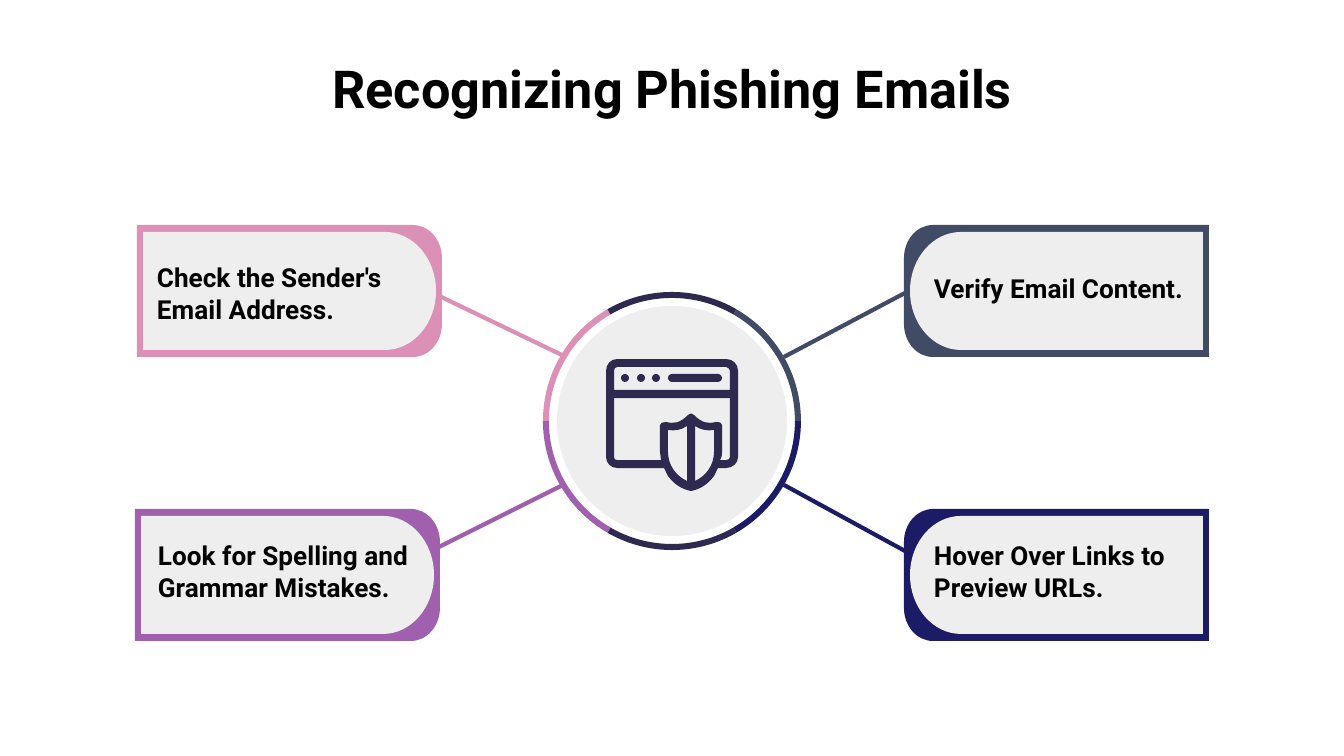
from math import cos, radians, sin, tan

from lxml import etree
from pptx import Presentation
from pptx.dml.color import RGBColor
from pptx.enum.shapes import MSO_CONNECTOR, MSO_SHAPE
from pptx.enum.text import MSO_ANCHOR, PP_ALIGN
from pptx.oxml.ns import qn
from pptx.util import Emu, Pt

STRAIGHT = MSO_CONNECTOR.STRAIGHT
OVAL = MSO_SHAPE.OVAL
PILL = MSO_SHAPE.ROUNDED_RECTANGLE
TOP, MIDDLE = MSO_ANCHOR.TOP, MSO_ANCHOR.MIDDLE
LEFT, CENTER = PP_ALIGN.LEFT, PP_ALIGN.CENTER

FONT = "Roboto"
INK, GREY, BLACK = "2E294E", "EEEEEE", "000000"
PINK, SLATE, PURPLE, NAVY = "DD90B6", "424B66", "A060AD", "1C1C66"

TITLE = "Recognizing Phishing Emails"
CARDS = [
    {"text": "Hover Over Links to Preview URLs.", "color": NAVY, "left": 904, "top": 509,
     "label": (934, 539), "link": (905, 551, 784, 485), "faces_left": True},
    {"text": "Verify Email Content.", "color": SLATE, "left": 904, "top": 225,
     "label": (934, 256), "link": (905, 293, 784, 357), "faces_left": True},
    {"text": "Look for Spelling and Grammar Mistakes.", "color": PURPLE, "left": 135, "top": 509,
     "label": (158, 539), "link": (431, 551, 563, 485), "faces_left": False},
    {"text": "Check the Sender's Email Address.", "color": PINK, "left": 137, "top": 225,
     "label": (157, 261), "link": (433, 293, 566, 357), "faces_left": False},
]
CARD_W, CARD_H = 305, 132
INSET_X, INSET_Y = 6, 7
LABEL_W, LABEL_H = 271, 64

HUB_X, HUB_Y, HUB_R = 672, 421, 115
RING_OUTER, RING_INNER = 129, 123
RING = [
    (NAVY, [0, 60]), (INK, [60, 90, 120]), (PURPLE, [120, 180]),
    (PINK, [180, 240]), (INK, [240, 270, 300]), (SLATE, [300, 360]),
]

WINDOW_EDGE = [
    (617, 359), (611, 359, 606, 364, 606, 371), (606, 457), (606, 463, 611, 468, 617, 468),
    (664, 468), (668, 476), (674, 484, 681, 489, 691, 491), (701, 489, 708, 484, 714, 476),
    (718, 468), (726, 468), (733, 468, 738, 463, 738, 457), (738, 371),
    (738, 364, 733, 359, 726, 359),
]
WINDOW_HEADER = [
    (726, 367), (728, 367, 730, 369, 730, 371), (730, 390), (614, 390), (614, 371),
    (614, 369, 615, 367, 617, 367),
]
WINDOW_BODY = [
    (730, 398), (730, 457), (730, 459, 728, 460, 726, 460), (720, 460),
    (722, 457, 722, 454, 722, 452), (722, 425), (722, 423, 720, 422, 716, 422),
    (708, 424, 702, 423, 694, 415), (692, 413, 690, 413, 688, 415),
    (680, 423, 674, 424, 666, 422), (663, 422, 660, 423, 660, 425), (660, 452),
    (660, 454, 661, 457, 661, 460), (617, 460), (615, 460, 614, 459, 614, 457), (614, 398),
]
SHIELD_HALF = [
    (687, 426), (687, 481), (676, 476, 668, 465, 668, 452), (668, 430),
    (675, 431, 681, 430, 687, 426),
]
SHIELD_AXIS = 691
DOT_LEFTS = [621, 637, 652]
BAR_TOP, BAR_H, ADDRESS_LEFT, ADDRESS_W = 374, 8, 668, 54

PX = 914400 / 134.4


def px(length):
    return Emu(round(length * PX))


def rgb(color):
    return RGBColor.from_string(color)


def paint(shape, color):
    shape.shadow.inherit = False
    shape.fill.solid()
    shape.fill.fore_color.rgb = rgb(color)
    shape.line.fill.background()


def add_preset(kind, left, top, width, height, color):
    shape = slide.shapes.add_shape(kind, px(left), px(top), px(width), px(height))
    paint(shape, color)
    return shape


def add_outline(contours, color):
    scaled = [[tuple(map(px, segment)) for segment in contour] for contour in contours]
    builder = slide.shapes.build_freeform(*scaled[0][0], scale=1.0)
    for index, contour in enumerate(scaled):
        if index:
            builder.move_to(*contour[0])
        builder.add_line_segments([segment[-2:] for segment in contour[1:]], close=True)
    shape = builder.convert_to_shape()
    segments = [segment for contour in scaled for segment in contour[1:]]
    for node, segment in zip(list(shape._element.iter(qn("a:lnTo"))), segments):
        if len(segment) == 6:
            node.tag = qn("a:cubicBezTo")
            for place in (0, 1):
                x, y = segment[2 * place:2 * place + 2]
                node.insert(place, etree.Element(
                    qn("a:pt"), x=str(x - shape.left), y=str(y - shape.top)))
    paint(shape, color)


def add_text(text, left, top, width, height, size, align, anchor, margin_x):
    frame = slide.shapes.add_textbox(px(left), px(top), px(width), px(height)).text_frame
    frame.word_wrap = True
    frame.vertical_anchor = anchor
    frame.margin_left = frame.margin_right = px(margin_x)
    frame.margin_top = frame.margin_bottom = px(13)
    paragraph = frame.paragraphs[0]
    paragraph.text = text
    paragraph.alignment = align
    paragraph.font.name = FONT
    paragraph.font.size = Pt(size)
    paragraph.font.bold = True
    paragraph.font.color.rgb = rgb(BLACK)


def add_link(ends, color):
    link = slide.shapes.add_connector(STRAIGHT, *map(px, ends))
    link.line.color.rgb = rgb(color)
    link.line.width = Pt(2.25)
    etree.SubElement(link._element.spPr, qn("a:effectLst"))


def arc(cx, cy, rx, ry, stops):
    def on_arc(angle, pull=0.0):
        a = radians(angle)
        return cx + rx * (cos(a) - pull * sin(a)), cy + ry * (sin(a) + pull * cos(a))

    segments = [on_arc(stops[0])]
    for start, end in zip(stops, stops[1:]):
        pull = 4 / 3 * tan(radians(end - start) / 4)
        segments.append(on_arc(start, pull) + on_arc(end, -pull) + on_arc(end))
    return segments


def mirror(segments, axis):
    return [tuple(value if i % 2 else 2 * axis - value for i, value in enumerate(segment))
            for segment in segments]


def add_panel(left, top, width, height, rx, ry, faces_left, color):
    right, bottom = left + width, top + height
    outline = [(left, bottom), (left, top)]
    outline += arc(right - rx, top + ry, rx, ry, [-90, 0])
    lower = arc(right - rx, bottom - ry, rx, ry, [0, 90])
    outline += lower if height > 2 * ry else lower[1:]
    if faces_left:
        outline = mirror(outline, left + width / 2)
    add_outline([outline], color)


deck = Presentation()
deck.slide_width, deck.slide_height = px(1344), px(756)
slide = deck.slides.add_slide(deck.slide_layouts[6])

add_text(TITLE, 67, 43, 1210, 85, 28, CENTER, TOP, 13)

for card in CARDS:
    left, top, faces_left = card["left"], card["top"], card["faces_left"]
    add_link(card["link"], card["color"])
    add_panel(left, top, CARD_W, CARD_H, 29, 33, faces_left, card["color"])
    inner_w, inner_h = CARD_W - 2 * INSET_X, CARD_H - 2 * INSET_Y
    add_panel(left + INSET_X, top + INSET_Y, inner_w, inner_h, 51, inner_h / 2, faces_left, GREY)

add_preset(OVAL, HUB_X - HUB_R, HUB_Y - HUB_R, 2 * HUB_R, 2 * HUB_R, GREY)
for color, stops in RING:
    add_outline([arc(HUB_X, HUB_Y, RING_OUTER, RING_OUTER, stops)
                 + arc(HUB_X, HUB_Y, RING_INNER, RING_INNER, stops[::-1])], color)

add_outline([WINDOW_EDGE, WINDOW_HEADER, WINDOW_BODY, SHIELD_HALF,
             mirror(SHIELD_HALF, SHIELD_AXIS)], INK)
for dot_left in DOT_LEFTS:
    add_preset(OVAL, dot_left, BAR_TOP, BAR_H, BAR_H, INK)
address = add_preset(PILL, ADDRESS_LEFT, BAR_TOP, ADDRESS_W, BAR_H, INK)
address.adjustments[0] = 0.5

for card in CARDS:
    add_text(card["text"], *card["label"], LABEL_W, LABEL_H, 14, LEFT, MIDDLE, 0)

deck.save("out.pptx")
